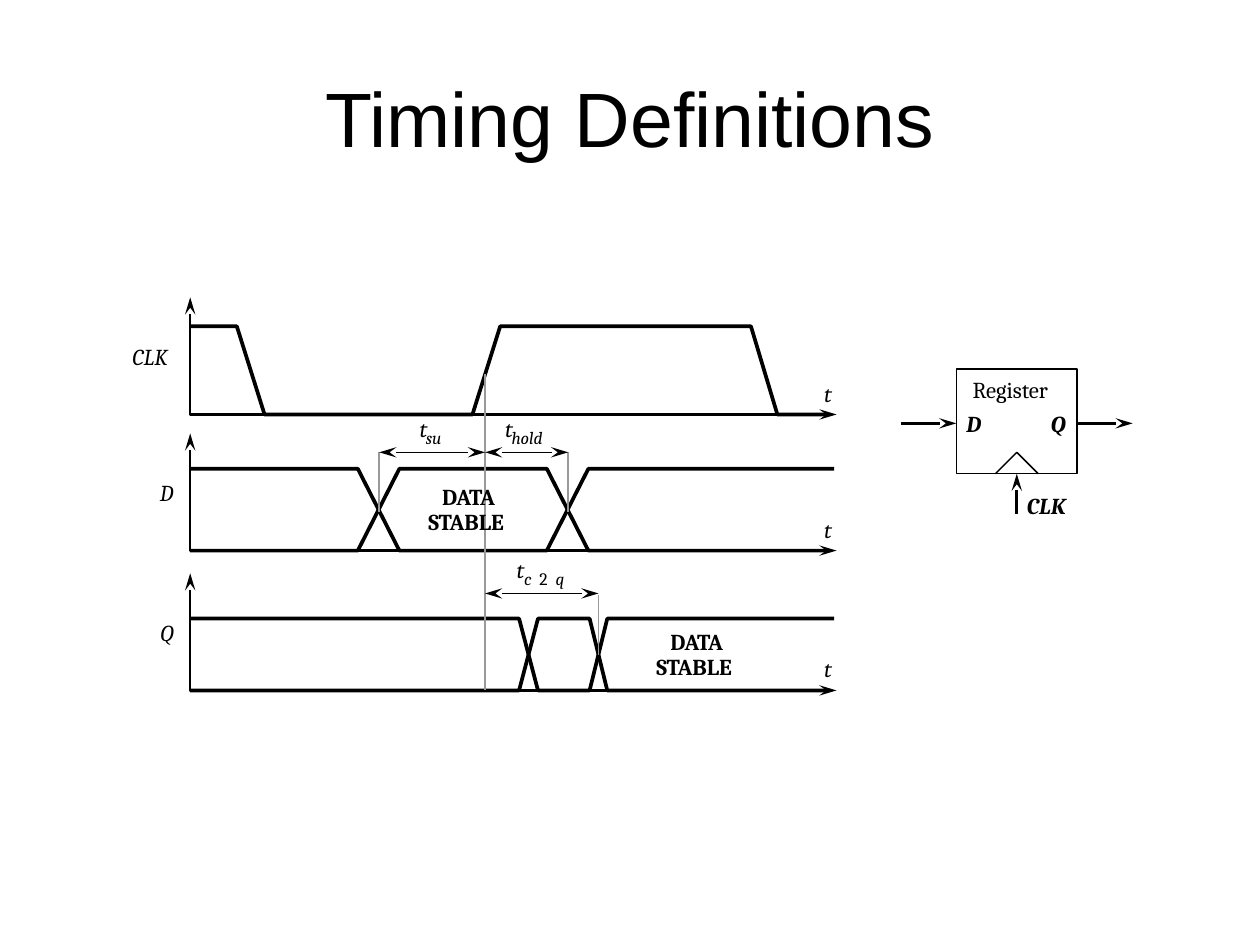
from lxml import etree
from pptx import Presentation
from pptx.dml.color import RGBColor
from pptx.enum.shapes import MSO_CONNECTOR, MSO_SHAPE
from pptx.enum.text import MSO_ANCHOR, MSO_AUTO_SIZE, PP_ALIGN
from pptx.oxml.ns import qn
from pptx.util import Inches, Pt

BLACK, GREY = "000000", "999999"
THIN, AXIS, BOLD_ARROW, SIGNAL = 0.88, 1.25, 1.75, 2.13
ITALIC, BOLD = {"italic": True}, {"bold": True}
BOLD_ITALIC = {**BOLD, **ITALIC}


def color(value):
    return RGBColor.from_string(value)


def style_line(shape, width, stroke=BLACK, ends=()):
    shape.line.color.rgb = color(stroke)
    shape.line.width = Pt(width)
    # headEnd must precede tailEnd
    for end in ends:
        etree.SubElement(shape.line._get_or_add_ln(), qn(f"a:{end}"),
                         type="stealth", w="med", len="lg")


def add_line(page, start, finish, width, stroke=BLACK, ends=()):
    line = page.shapes.add_connector(
        MSO_CONNECTOR.STRAIGHT, *(Inches(value) for value in (*start, *finish)))
    style_line(line, width, stroke, ends)
    etree.SubElement(line._element.spPr, qn("a:effectLst"))


def add_path(page, points, width, ends=()):
    points = [(Inches(x), Inches(y)) for x, y in points]
    builder = page.shapes.build_freeform(*points[0])
    builder.add_line_segments(points[1:], close=False)
    shape = builder.convert_to_shape()
    shape.shadow.inherit = False
    shape.fill.background()
    style_line(shape, width, ends=ends)


def set_font(span, name, size, styles):
    span.font.color.rgb = color(BLACK)
    for key, value in {"name": name, "size": Pt(size), **styles}.items():
        setattr(span.font, key, value)


def add_label(page, text, left, top, width, styles, size=13):
    height = 0.22 if size == 13 else 0.17
    box = page.shapes.add_textbox(*(Inches(v) for v in (left, top, width, height)))
    settings = {"margin_left": 0, "margin_right": 0, "margin_top": 0,
                "margin_bottom": 0, "word_wrap": False,
                "auto_size": MSO_AUTO_SIZE.SHAPE_TO_FIT_TEXT}
    for key, value in settings.items():
        setattr(box.text_frame, key, value)
    span = box.text_frame.paragraphs[0].add_run()
    span.text = text
    set_font(span, "Cambria", size, styles)


def add_title(page, box, text):
    shape = page.shapes.add_textbox(*(Inches(value) for value in box))
    frame = shape.text_frame
    frame.word_wrap = True
    frame.vertical_anchor = MSO_ANCHOR.MIDDLE
    para = frame.paragraphs[0]
    para.alignment = PP_ALIGN.CENTER
    span = para.add_run()
    span.text = text
    set_font(span, "Arial", 44, {})


def add_signal(page, box, name, name_width, swing, edges, start_levels):
    """Axes, labels and one trace per start level; levels flip at each edge."""
    left, top, width, height = box
    base = top + height
    add_path(page, [(left, top), (left, base), (left + width, base)], AXIS,
             ("headEnd", "tailEnd"))
    add_label(page, "t", left + 5.03, base - 0.28, 0.07, ITALIC)
    add_label(page, name, left - 0.11 - name_width, top + 0.36, name_width, ITALIC)
    for level in start_levels:
        points = [(left, base - level * swing)]
        for begin, finish in edges:
            points.append((left + begin, base - level * swing))
            level = 1 - level
            points.append((left + finish, base - level * swing))
        points.append((left + (5.11 if level else 5.05), base - level * swing))
        add_path(page, points, SIGNAL)


def add_stable_note(page, left, top):
    add_label(page, "DATA", left + 0.11, top, 0.53, BOLD)
    add_label(page, "STABLE", left, top + 0.2, 0.72, BOLD)


def add_interval(page, start, finish, y, label_left, subscripts):
    add_line(page, (start, y), (finish, y), THIN, ends=("headEnd", "tailEnd"))
    add_label(page, "t", label_left, y - 0.3, 0.07, ITALIC)
    for text, offset, width, styles in subscripts:
        add_label(page, text, label_left + offset, y - 0.2, width, styles, 10)


def add_timing_diagram(page, box):
    left, top, width, height = box
    row = 0.93
    rows = [  # top offset, name, name width, swing, edges, start levels
        (0, "CLK", 0.35, 0.7, [(0.37, 0.59), (2.24, 2.46), (4.45, 4.66)], [1]),
        (1.08, "D", 0.13, 0.65, [(1.33, 1.66), (2.83, 3.16)], [1, 0]),
        (height - row, "Q", 0.13, 0.57, [(2.61, 2.76), (3.17, 3.31)], [1, 0]),
    ]
    for offset, *signal in rows:
        add_signal(page, (left, top + offset, width, row), *signal)

    # Guide lines at the setup, hold, clock edge and output times
    setup, clock, hold, output = (left + x for x in (1.5, 2.34, 3, 3.24))
    for x, low, high in [(setup, 1.7, 1.23), (hold, 1.7, 1.23),
                         (clock, height, 0.61), (output, 2.84, 2.36)]:
        add_line(page, (x, top + low), (x, top + high), THIN, GREY)

    # Measured intervals
    intervals = [
        (setup, clock, 1.23, 1.82, [("su", 0.05, 0.15, ITALIC)]),
        (clock, hold, 1.23, 2.5, [("hold", 0.05, 0.29, ITALIC)]),
        (clock, output, 2.35, 2.59, [("c", 0.06, 0.07, ITALIC),
                                     ("2", 0.18, 0.08, {}),
                                     ("q", 0.31, 0.08, ITALIC)]),
    ]
    for start, finish, y, label, subscripts in intervals:
        add_interval(page, start, finish, top + y, left + label, subscripts)

    add_stable_note(page, left + 1.89, top + 1.47)
    add_stable_note(page, left + 3.7, top + 2.62)


def add_register(page, box):
    left, top, width, height = box
    right, bottom, middle = left + width, top + height, left + width / 2
    body = page.shapes.add_shape(
        MSO_SHAPE.RECTANGLE, *(Inches(value) for value in box))
    body.shadow.inherit = False
    body.fill.background()
    style_line(body, THIN)

    # Clock input notch
    add_path(page, [(middle + 0.17, bottom), (middle, bottom - 0.17),
                    (middle - 0.17, bottom)], THIN)

    # Input, output and clock arrows
    pin = top + 0.43
    for start, finish in [((left - 0.44, pin), (left, pin)),
                          ((right, pin), (right + 0.44, pin)),
                          ((middle, bottom + 0.32), (middle, bottom))]:
        add_line(page, start, finish, BOLD_ARROW, ends=("tailEnd",))

    for text, x, y, label_width, styles in [
            ("Register", 0.13, 0.05, 0.7, {}), ("D", 0.08, 0.32, 0.14, BOLD_ITALIC),
            ("Q", 0.75, 0.32, 0.14, BOLD_ITALIC), ("CLK", 0.56, 0.97, 0.37, BOLD_ITALIC)]:
        add_label(page, text, left + x, top + y, label_width, styles)


def main():
    deck = Presentation()
    deck.slide_width, deck.slide_height = Inches(10), Inches(7.5)
    page = deck.slides.add_slide(deck.slide_layouts[6])
    add_title(page, (0.5, 0.3, 9, 1.25), "Timing Definitions")
    add_timing_diagram(page, (1.51, 2.36, 5.13, 3.12))
    add_register(page, (7.59, 2.93, 0.96, 0.83))
    deck.save("out.pptx")


if __name__ == "__main__":
    main()
